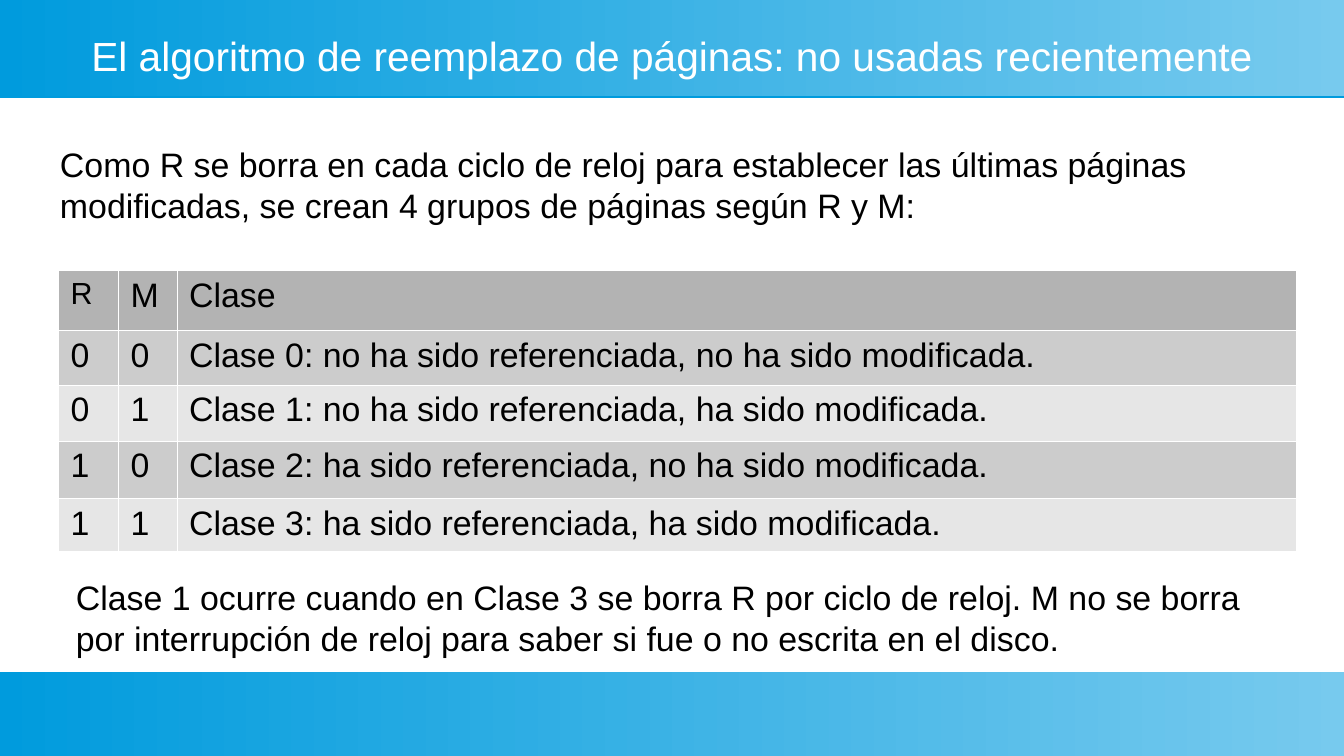
from dataclasses import dataclass

from lxml import etree
from pptx import Presentation
from pptx.dml.color import RGBColor
from pptx.enum.shapes import MSO_SHAPE
from pptx.enum.text import MSO_ANCHOR, PP_ALIGN
from pptx.oxml.ns import qn
from pptx.slide import Slide
from pptx.table import _Cell
from pptx.text.text import _Paragraph
from pptx.util import Cm, Pt

RECTANGLE = MSO_SHAPE.RECTANGLE
LEFT, CENTER = PP_ALIGN.LEFT, PP_ALIGN.CENTER
TOP, MIDDLE = MSO_ANCHOR.TOP, MSO_ANCHOR.MIDDLE

BLACK = RGBColor(0x00, 0x00, 0x00)
WHITE = RGBColor(0xFF, 0xFF, 0xFF)
DEEP_BLUE = RGBColor(0x00, 0x9B, 0xDD)
LIGHT_BLUE = RGBColor(0x77, 0xCA, 0xEE)
HEADER_GRAY = RGBColor(0xB3, 0xB3, 0xB3)
ROW_GRAYS = (RGBColor(0xCC, 0xCC, 0xCC), RGBColor(0xE6, 0xE6, 0xE6))

FONT = "Arial"
BODY_SIZE = 20
SLIDE_WIDTH, SLIDE_HEIGHT = 28, 15.75
BORDER_WIDTH = Pt(0.06)
INSET_X, INSET_Y = 0.25, 0.13

COLUMN_WIDTHS = (1.25, 1.22, 23.31)
ROW_HEIGHTS = (1.25, 1.14, 1.17, 1.19, 1.04)
CLASS_ROWS = (
    ("R", "M", "Clase"),
    ("0", "0", "Clase 0: no ha sido referenciada, no ha sido modificada."),
    ("0", "1", "Clase 1: no ha sido referenciada, ha sido modificada."),
    ("1", "0", "Clase 2: ha sido referenciada, no ha sido modificada."),
    ("1", "1", "Clase 3: ha sido referenciada, ha sido modificada."),
)


@dataclass(frozen=True)
class Band:
    top: float
    height: float


@dataclass(frozen=True)
class TextBlock:
    text: str
    left: float
    top: float
    width: float
    height: float
    size: float = BODY_SIZE
    color: RGBColor = BLACK
    alignment: PP_ALIGN = LEFT
    anchor: MSO_ANCHOR = TOP
    inset_x: float = INSET_X
    inset_y: float = INSET_Y


BANDS = (Band(0, 2.01), Band(14, 1.75))
TEXT_BLOCKS = (
    TextBlock(
        "El algoritmo de reemplazo de páginas: no usadas recientemente",
        1, 0.5, 26, 1.32, size=24, color=WHITE, alignment=CENTER,
        anchor=MIDDLE, inset_x=0, inset_y=0,
    ),
    TextBlock(
        "Como R se borra en cada ciclo de reloj para establecer las últimas "
        "páginas modificadas, se crean 4 grupos de páginas según R y M:",
        1, 2.87, 26.5, 1.98,
    ),
    TextBlock(
        "Clase 1 ocurre cuando en Clase 3 se borra R por ciclo de reloj. "
        "M no se borra por interrupción de reloj para saber si fue o no "
        "escrita en el disco.",
        1.33, 11.89, 25.67, 1.98,
    ),
)


def style_paragraph(paragraph: _Paragraph, size: float, color: RGBColor) -> None:
    paragraph.font.name = FONT
    paragraph.font.size = Pt(size)
    paragraph.font.color.rgb = color


def add_band(slide: Slide, band: Band) -> None:
    """Add a full-width gradient band with a thin blue edge below it."""
    shape = slide.shapes.add_shape(
        RECTANGLE, Cm(0), Cm(band.top), Cm(SLIDE_WIDTH), Cm(band.height)
    )
    shape.line.fill.background()
    shape.fill.gradient()
    shape.fill.gradient_angle = 0
    for stop, color in zip(shape.fill.gradient_stops, (DEEP_BLUE, LIGHT_BLUE)):
        stop.color.rgb = color
    shape.shadow.inherit = False
    effects = shape.element.spPr.find(qn("a:effectLst"))
    shadow = etree.SubElement(
        effects, qn("a:outerShdw"), dist=str(Pt(0.9)), dir="5400000", rotWithShape="0"
    )
    etree.SubElement(shadow, qn("a:srgbClr"), val=str(DEEP_BLUE))


def add_text(slide: Slide, block: TextBlock) -> None:
    box = slide.shapes.add_textbox(
        Cm(block.left), Cm(block.top), Cm(block.width), Cm(block.height)
    )
    frame = box.text_frame
    frame.word_wrap = True
    frame.vertical_anchor = block.anchor
    frame.margin_left = frame.margin_right = Cm(block.inset_x)
    frame.margin_top = frame.margin_bottom = Cm(block.inset_y)
    paragraph = frame.paragraphs[0]
    paragraph.text = block.text
    paragraph.alignment = block.alignment
    style_paragraph(paragraph, block.size, block.color)


def add_borders(cell: _Cell) -> None:
    properties = cell._tc.get_or_add_tcPr()
    for side in ("a:lnL", "a:lnR", "a:lnT", "a:lnB"):
        line = etree.SubElement(properties, qn(side), w=str(BORDER_WIDTH))
        fill = etree.SubElement(line, qn("a:solidFill"))
        etree.SubElement(fill, qn("a:srgbClr"), val=str(WHITE))


def fill_cell(cell: _Cell, text: str, size: float, color: RGBColor) -> None:
    add_borders(cell)
    cell.fill.solid()
    cell.fill.fore_color.rgb = color
    cell.margin_left = cell.margin_right = Cm(INSET_X)
    cell.margin_top = cell.margin_bottom = Cm(INSET_Y)
    paragraph = cell.text_frame.paragraphs[0]
    paragraph.text = text
    style_paragraph(paragraph, size, BLACK)


def add_class_table(slide: Slide) -> None:
    table = slide.shapes.add_table(
        len(CLASS_ROWS), len(COLUMN_WIDTHS), Cm(1.22), Cm(5.63),
        Cm(sum(COLUMN_WIDTHS)), Cm(sum(ROW_HEIGHTS)),
    ).table
    table.first_row = False
    table.horz_banding = False
    for column, width in zip(table.columns, COLUMN_WIDTHS):
        column.width = Cm(width)
    for index, (row, height, texts) in enumerate(
        zip(table.rows, ROW_HEIGHTS, CLASS_ROWS)
    ):
        row.height = Cm(height)
        color = ROW_GRAYS[(index - 1) % 2] if index else HEADER_GRAY
        for cell, text in zip(row.cells, texts):
            fill_cell(cell, text, 18 if text == "R" else BODY_SIZE, color)


def main() -> None:
    presentation = Presentation()
    presentation.slide_width = Cm(SLIDE_WIDTH)
    presentation.slide_height = Cm(SLIDE_HEIGHT)
    slide = presentation.slides.add_slide(presentation.slide_layouts[6])
    for band in BANDS:
        add_band(slide, band)
    for block in TEXT_BLOCKS:
        add_text(slide, block)
    add_class_table(slide)
    presentation.save("out.pptx")


if __name__ == "__main__":
    main()
